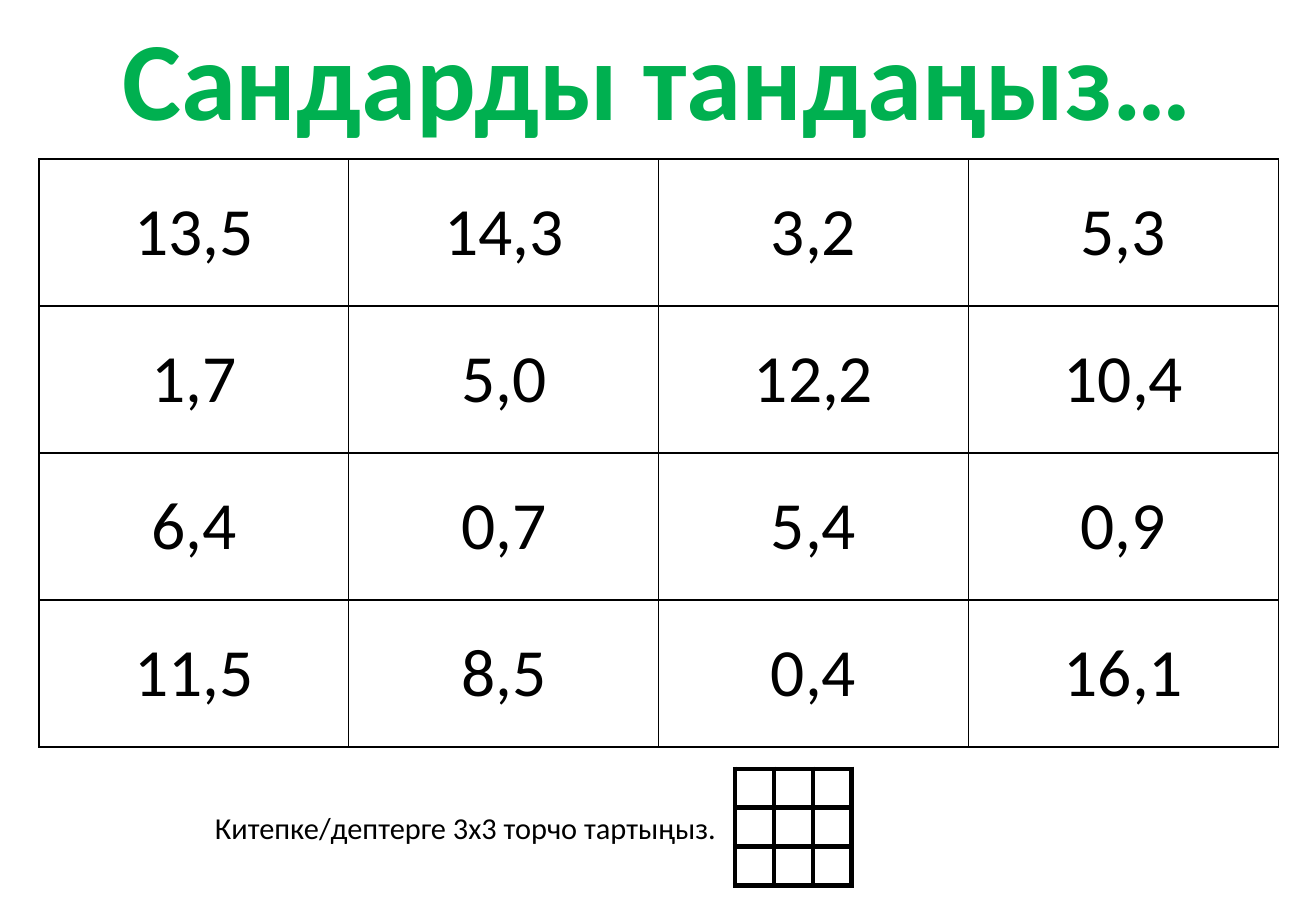
"""Build a number-choice slide with a 4 by 4 table and a small blank 3 by 3 grid."""
from lxml import etree
from pptx import Presentation
from pptx.dml.color import RGBColor
from pptx.enum.text import MSO_ANCHOR, MSO_AUTO_SIZE, PP_ALIGN
from pptx.oxml.ns import qn
from pptx.util import Inches, Pt

CENTER, LEFT = PP_ALIGN.CENTER, PP_ALIGN.LEFT
MIDDLE = MSO_ANCHOR.MIDDLE
GROW = MSO_AUTO_SIZE.SHAPE_TO_FIT_TEXT
TITLE_ONLY = 5

TITLE = "Сандарды тандаңыз…"
NUMBERS = [
    ["13,5", "14,3", "3,2", "5,3"],
    ["1,7", "5,0", "12,2", "10,4"],
    ["6,4", "0,7", "5,4", "0,9"],
    ["11,5", "8,5", "0,4", "16,1"],
]
HINT = "Китепке/дептерге 3х3 торчо тартыңыз."
BLANK_GRID = [[""] * 3 for _ in range(3)]

COLORS = {"black": "000000", "green": "00B050", "white": "FFFFFF"}
FORMATS = {
    "title": {"name": "Calibri", "size": Pt(66), "bold": True},
    "number": {"name": "Calibri", "size": Pt(40)},
    "hint": {"name": "Calibri", "size": Pt(18)},
}
CELL_FORMAT = {"margin_left": 0, "margin_right": 0, "margin_top": 0,
               "margin_bottom": 0, "vertical_anchor": MIDDLE}
TABLE_FORMAT = {"first_row": False, "horz_banding": False}
BOX_FORMAT = {"word_wrap": False, "auto_size": GROW}


def set_attributes(target, values):
    for name, value in values.items():
        setattr(target, name, value)


def add_line(parent, tag, width, position):
    line = etree.Element(qn(tag), w=str(Pt(width)))
    fill = etree.SubElement(line, qn("a:solidFill"))
    etree.SubElement(fill, qn("a:srgbClr"), val=COLORS["black"])
    parent.insert(position, line)


def write(frame, text, style, color, align):
    para = frame.paragraphs[0]
    para.alignment = align
    span = para.add_run()
    span.text = text
    set_attributes(span.font, FORMATS[style])
    span.font.color.rgb = RGBColor.from_string(COLORS[color])
    return span


def place(box, left, top, width, height):
    bounds = {"left": left, "top": top, "width": width, "height": height}
    set_attributes(box, {name: Inches(value) for name, value in bounds.items()})
    set_attributes(box.text_frame, BOX_FORMAT)


def add_grid(page, rows, left, top, cell_width, cell_height, border):
    count = len(rows)
    table = page.shapes.add_table(
        count, count, Inches(left), Inches(top),
        Inches(cell_width * count), Inches(cell_height * count)).table
    set_attributes(table, TABLE_FORMAT)
    for row_index, row in enumerate(rows):
        for column_index, text in enumerate(row):
            cell = table.cell(row_index, column_index)
            set_attributes(cell, CELL_FORMAT)
            cell.fill.solid()
            cell.fill.fore_color.rgb = RGBColor.from_string(COLORS["white"])
            properties = cell._tc.get_or_add_tcPr()
            for position, tag in enumerate(("a:lnL", "a:lnR", "a:lnT", "a:lnB")):
                add_line(properties, tag, border, position)
            if text:
                write(cell.text_frame, text, "number", "black", CENTER)


def main():
    deck = Presentation()
    deck.slide_width, deck.slide_height = Inches(10.83), Inches(7.5)
    page = deck.slides.add_slide(deck.slide_layouts[TITLE_ONLY])

    title = page.shapes.title
    place(title, 0.79, 0.02, 9.24, 1.21)
    span = write(title.text_frame, TITLE, "title", "green", CENTER)
    add_line(span.font._element, "a:ln", 0.75, 0)

    add_grid(page, NUMBERS, 0.32, 1.31, 2.55, 1.21, 1)
    add_grid(page, BLANK_GRID, 6.05, 6.33, 0.32, 0.32, 3)

    hint = page.shapes.add_textbox(0, 0, 0, 0)
    place(hint, 1.67, 6.61, 4.38, 0.4)
    write(hint.text_frame, HINT, "hint", "black", LEFT)

    deck.save("out.pptx")


if __name__ == "__main__":
    main()
